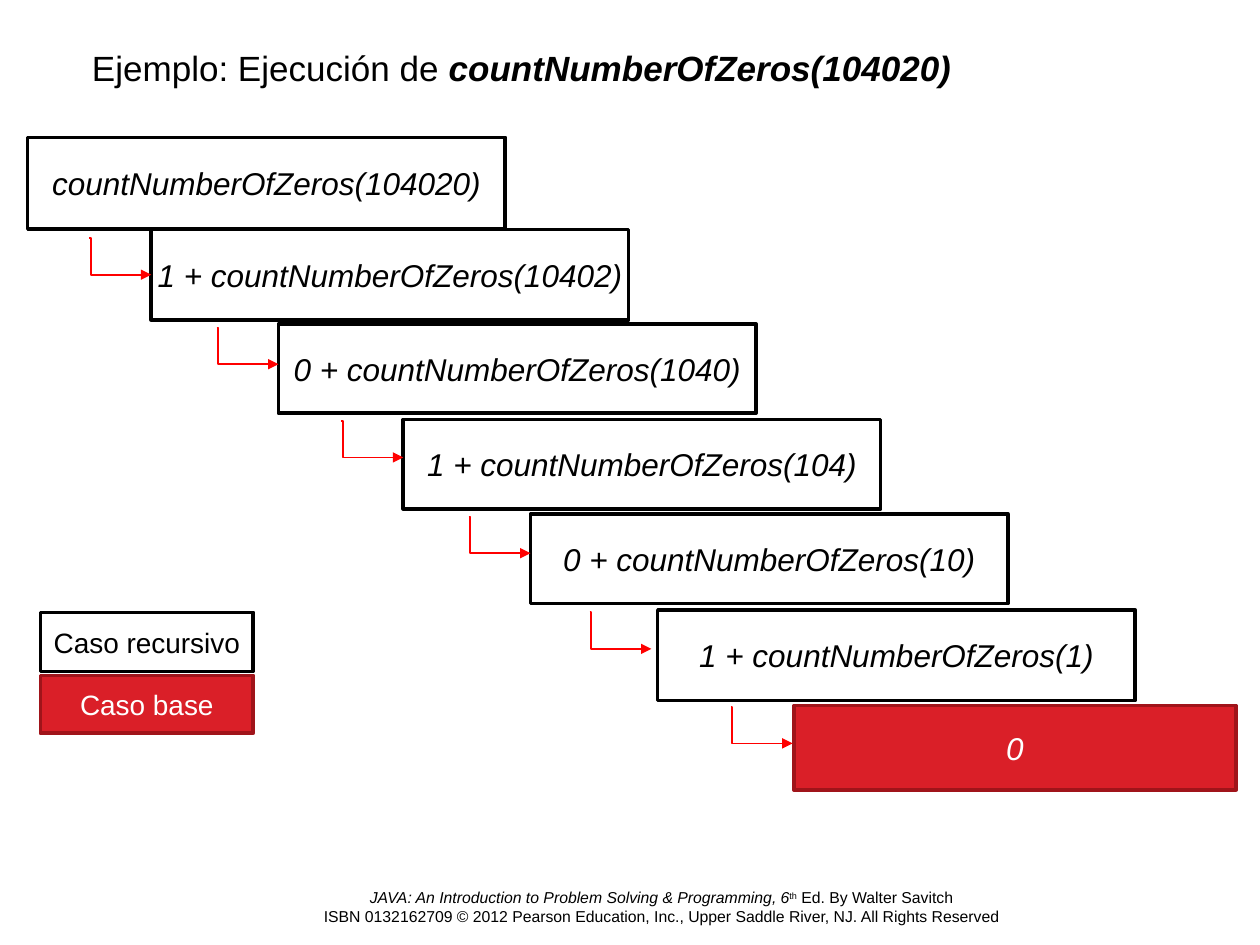
from dataclasses import dataclass

from lxml.etree import SubElement
from pptx import Presentation
from pptx.dml.color import RGBColor
from pptx.enum.shapes import MSO_CONNECTOR as Connector, MSO_SHAPE as Shape
from pptx.enum.text import MSO_ANCHOR as Anchor, MSO_AUTO_SIZE as AutoSize, PP_ALIGN as Align
from pptx.oxml.ns import qn
from pptx.slide import Slide
from pptx.util import Inches, Pt

BLACK = RGBColor(0x00, 0x00, 0x00)
WHITE = RGBColor(0xFF, 0xFF, 0xFF)
RED = RGBColor(0xDA, 0x1F, 0x28)
DARK_RED = RGBColor(0xA0, 0x14, 0x1A)
ARROW_RED = RGBColor(0xFF, 0x00, 0x00)
FONT = "Arial"
ARROW_WIDTH, ARROW_HEIGHT = 0.49, 0.29
ELBOW_POSITION = 2300  # thousandths of a percent of the arrow width


@dataclass(frozen=True)
class Box:
    text: str
    left: float
    top: float
    width: float = 3.79
    height: float = 0.71
    size: int = 18
    italic: bool = True
    is_base_case: bool = False


@dataclass(frozen=True)
class Arrow:
    """Start of an arrow that drops, then points right."""
    left: float
    top: float


CALLS = [
    Box("countNumberOfZeros(104020)", 0.22, 1.09, height=0.73),
    Box("1 + countNumberOfZeros(10402)", 1.2, 1.82, height=0.72),
    Box("0 + countNumberOfZeros(1040)", 2.21, 2.57),
    Box("1 + countNumberOfZeros(104)", 3.2, 3.33),
    Box("0 + countNumberOfZeros(10)", 4.21, 4.08),
    Box("1 + countNumberOfZeros(1)", 5.22, 4.84, height=0.72),
    Box("0", 6.3, 5.6, width=3.51, height=0.67, is_base_case=True),
]
ARROWS = [
    Arrow(0.71, 1.89),
    Arrow(1.72, 2.6),
    Arrow(2.71, 3.34),
    Arrow(3.72, 4.1),
    Arrow(4.68, 4.86),
    Arrow(5.8, 5.61),
]
LEGEND = [
    Box("Caso base", 0.32, 5.36, 1.69, 0.46, 16, False, is_base_case=True),
    Box("Caso recursivo", 0.32, 4.86, 1.69, 0.47, 16, False),
]


def add_box(slide: Slide, box: Box) -> None:
    shape = slide.shapes.add_shape(Shape.RECTANGLE, Inches(box.left), Inches(box.top),
                                   Inches(box.width), Inches(box.height))
    shape.shadow.inherit = False
    shape.fill.solid()
    shape.fill.fore_color.rgb = RED if box.is_base_case else WHITE
    shape.line.color.rgb = DARK_RED if box.is_base_case else BLACK
    shape.line.width = Pt(2)
    frame = shape.text_frame
    frame.word_wrap = False
    frame.vertical_anchor = Anchor.MIDDLE
    paragraph = frame.paragraphs[0]
    paragraph.text = box.text
    paragraph.alignment = Align.CENTER
    font = paragraph.font
    font.name, font.size, font.italic = FONT, Pt(box.size), box.italic
    font.color.rgb = WHITE if box.is_base_case else BLACK


def add_arrow(slide: Slide, arrow: Arrow) -> None:
    connector = slide.shapes.add_connector(
        Connector.ELBOW, Inches(arrow.left), Inches(arrow.top),
        Inches(arrow.left + ARROW_WIDTH), Inches(arrow.top + ARROW_HEIGHT))
    connector.line.color.rgb = ARROW_RED
    connector.line.width = Pt(1)
    properties = connector._element.spPr
    adjustments = properties.find(qn("a:prstGeom")).find(qn("a:avLst"))
    SubElement(adjustments, qn("a:gd"), name="adj1", fmla=f"val {ELBOW_POSITION}")
    SubElement(properties.find(qn("a:ln")), qn("a:tailEnd"), type="triangle")
    SubElement(properties, qn("a:effectLst"))


def add_title(slide: Slide) -> None:
    title = slide.shapes.title
    title.left, title.top = Inches(0.63), Inches(0.32)
    title.width, title.height = Inches(7.58), Inches(0.44)
    frame = title.text_frame
    frame.auto_size = AutoSize.NONE
    frame.vertical_anchor = Anchor.TOP
    paragraph = frame.paragraphs[0]
    paragraph.alignment = Align.LEFT
    paragraph.font.name, paragraph.font.size = FONT, Pt(20)
    paragraph.font.color.rgb = BLACK
    paragraph.add_run().text = "Ejemplo: Ejecución de "
    call = paragraph.add_run()
    call.text = "countNumberOfZeros(104020)"
    call.font.bold = call.font.italic = True


def add_footer(slide: Slide) -> None:
    footer = slide.shapes.add_textbox(Inches(0.75), Inches(7), Inches(9), Inches(0.4))
    footer.text_frame.word_wrap = True
    paragraph = footer.text_frame.paragraphs[0]
    paragraph.alignment = Align.CENTER
    paragraph.font.name, paragraph.font.size = FONT, Pt(9)
    paragraph.font.color.rgb = BLACK
    book = paragraph.add_run()
    book.text = "JAVA: An Introduction to Problem Solving & Programming, 6"
    book.font.italic = True
    ordinal = paragraph.add_run()
    ordinal.text = "th"
    ordinal._r.get_or_add_rPr().set("baseline", "30000")
    paragraph.add_run().text = " Ed. By Walter Savitch"
    paragraph.add_line_break()
    paragraph.add_run().text = ("ISBN 0132162709 © 2012 Pearson Education, Inc., "
                                "Upper Saddle River, NJ. All Rights Reserved")


def main() -> None:
    presentation = Presentation()
    presentation.slide_width, presentation.slide_height = Inches(10), Inches(7.5)
    title_only = presentation.slide_layouts.get_by_name("Title Only")
    slide = presentation.slides.add_slide(title_only)
    add_footer(slide)
    for box in CALLS:
        add_box(slide, box)
    for arrow in ARROWS:
        add_arrow(slide, arrow)
    add_title(slide)
    for box in LEGEND:
        add_box(slide, box)
    presentation.save("out.pptx")


if __name__ == "__main__":
    main()
